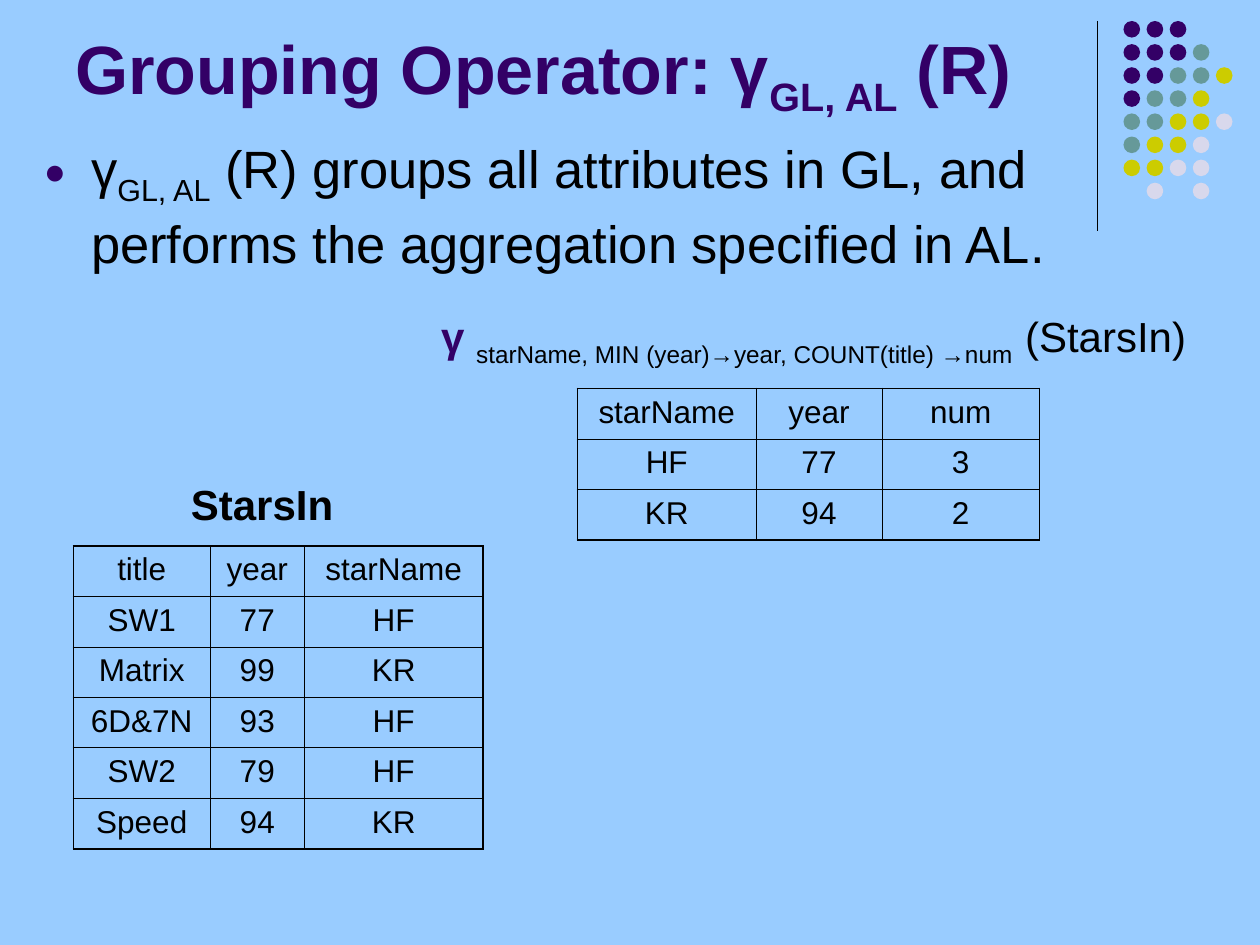
from lxml import etree
from pptx import Presentation
from pptx import util as u
from pptx.dml.color import RGBColor
from pptx.enum import shapes, text
from pptx.oxml import ns

COLORS = {"sky": "99CCFF", "purple": "330066", "teal": "669999",
          "olive": "CCCC00", "lilac": "D8D8EC", "black": "000000"}
FONT = "Arial"

TITLE = [("Grouping Operator: γ", ""), ("GL, AL", "sub"), (" (R)", "")]
BODY = [("γ", ""), ("GL, AL", "sub"),
        (" (R) groups all attributes in GL, and performs the aggregation specified in AL.", "")]
SOURCE_LABEL = [("StarsIn", "bold")]
QUERY = [("γ ", "bold purple"),
         ("starName, MIN (year)→year, COUNT(title) →num", "sub"),
         (" (StarsIn)", "")]
SOURCE_ROWS = [
    ("title", "year", "starName"),
    ("SW1", "77", "HF"),
    ("Matrix", "99", "KR"),
    ("6D&7N", "93", "HF"),
    ("SW2", "79", "HF"),
    ("Speed", "94", "KR"),
]
RESULT_ROWS = [
    ("starName", "year", "num"),
    ("HF", "77", "3"),
    ("KR", "94", "2"),
]
DOT_ROWS = ["PPP", "PPPT", "PPTTO", "PTTO", "TTOOL", "TOOL", "OOLL", " L L"]
DOT_COLORS = {"P": "purple", "T": "teal", "O": "olive", "L": "lilac"}
DOT_LEFT, DOT_TOP, DOT_SIZE, DOT_PITCH = 642, 12, 9.5, 13.2
ROW_HEIGHT = 28.8
OUTER, INNER = 1.08, 0.45


def rgb(name):
    return RGBColor.from_string(COLORS[name])


def write_spans(para, spans, size, color="black", bold=False):
    for words, style in spans:
        span = para.add_run()
        span.text = words
        span.font.name = FONT
        span.font.size = u.Pt(size)
        span.font.bold = bold or "bold" in style
        span.font.color.rgb = rgb("purple" if "purple" in style else color)
        if "sub" in style:
            span.font._element.set("baseline", "-25000")


def add_text(page, place, spans, size, wrap=True, **look):
    box = page.shapes.add_textbox(*map(u.Pt, place))
    frame = box.text_frame
    frame.word_wrap = wrap
    if not wrap:
        frame.auto_size = text.MSO_AUTO_SIZE.SHAPE_TO_FIT_TEXT
    write_spans(frame.paragraphs[0], spans, size, **look)
    return frame


def add_bullet(para):
    properties = para._p.get_or_add_pPr()
    properties.set("marL", str(u.Pt(27)))
    properties.set("indent", str(u.Pt(-27)))
    color = etree.SubElement(properties, ns.qn("a:buClr"))
    etree.SubElement(color, ns.qn("a:srgbClr"), val=COLORS["purple"])
    etree.SubElement(properties, ns.qn("a:buSzPct"), val="70000")
    etree.SubElement(properties, ns.qn("a:buFont"), typeface=FONT)
    etree.SubElement(properties, ns.qn("a:buChar"), char="●")


def add_borders(cell, widths):
    properties = cell._tc.get_or_add_tcPr()
    for side, width in zip("LRTB", widths):
        line = etree.SubElement(properties, ns.qn("a:ln" + side), w=str(u.Pt(width)))
        fill = etree.SubElement(line, ns.qn("a:solidFill"))
        etree.SubElement(fill, ns.qn("a:srgbClr"), val=COLORS["black"])


def add_relation(page, left, top, widths, rows):
    place = (left, top, sum(widths), ROW_HEIGHT * len(rows))
    table = page.shapes.add_table(len(rows), len(widths), *map(u.Pt, place)).table
    table.first_row = table.horz_banding = False
    for column, width in zip(table.columns, widths):
        column.width = u.Pt(width)
    for r, row in enumerate(rows):
        table.rows[r].height = u.Pt(ROW_HEIGHT)
        for c, value in enumerate(row):
            cell = table.cell(r, c)
            para = cell.text_frame.paragraphs[0]
            para.alignment = text.PP_ALIGN.CENTER
            write_spans(para, [(value, "")], 18)
            edges = (c == 0, c == len(row) - 1, r == 0, r == len(rows) - 1)
            add_borders(cell, [OUTER if edge else INNER for edge in edges])
            cell.fill.background()


def add_ornament(page):
    rule = page.shapes.add_connector(shapes.MSO_CONNECTOR.STRAIGHT,
                                     *map(u.Pt, (627, 12, 627, 132)))
    rule.line.color.rgb = rgb("black")
    rule.line.width = u.Pt(0.75)
    etree.SubElement(rule._element.spPr, ns.qn("a:effectLst"))
    group = page.shapes.add_group_shape()
    for r, row in enumerate(DOT_ROWS):
        for c, key in enumerate(row):
            if key == " ":
                continue
            place = (DOT_LEFT + c * DOT_PITCH, DOT_TOP + r * DOT_PITCH, DOT_SIZE, DOT_SIZE)
            dot = group.shapes.add_shape(shapes.MSO_SHAPE.OVAL, *map(u.Pt, place))
            dot.shadow.inherit = False
            dot.fill.solid()
            dot.fill.fore_color.rgb = rgb(DOT_COLORS[key])
            dot.line.fill.background()


def main():
    deck = Presentation()
    deck.slide_width, deck.slide_height = u.Pt(720), u.Pt(540)
    page = deck.slides.add_slide(deck.slide_layouts[6])
    page.background.fill.solid()
    page.background.fill.fore_color.rgb = rgb("sky")

    add_ornament(page)
    title = add_text(page, (36, 9.5, 594, 62.5), TITLE, 39, color="purple", bold=True)
    title.vertical_anchor = text.MSO_ANCHOR.BOTTOM
    body = add_text(page, (18, 72, 648, 96), BODY, 30)
    add_bullet(body.paragraphs[0])
    body.paragraphs[0].line_spacing = 1.05
    add_relation(page, 42, 312, (78, 54, 102), SOURCE_ROWS)
    add_text(page, (102, 270, 96, 36), SOURCE_LABEL, 24, wrap=False)
    add_text(page, (245, 174, 440.5, 40), QUERY, 24, wrap=False)
    add_relation(page, 330, 222, (102, 72, 90), RESULT_ROWS)
    deck.save("out.pptx")


if __name__ == "__main__":
    main()
